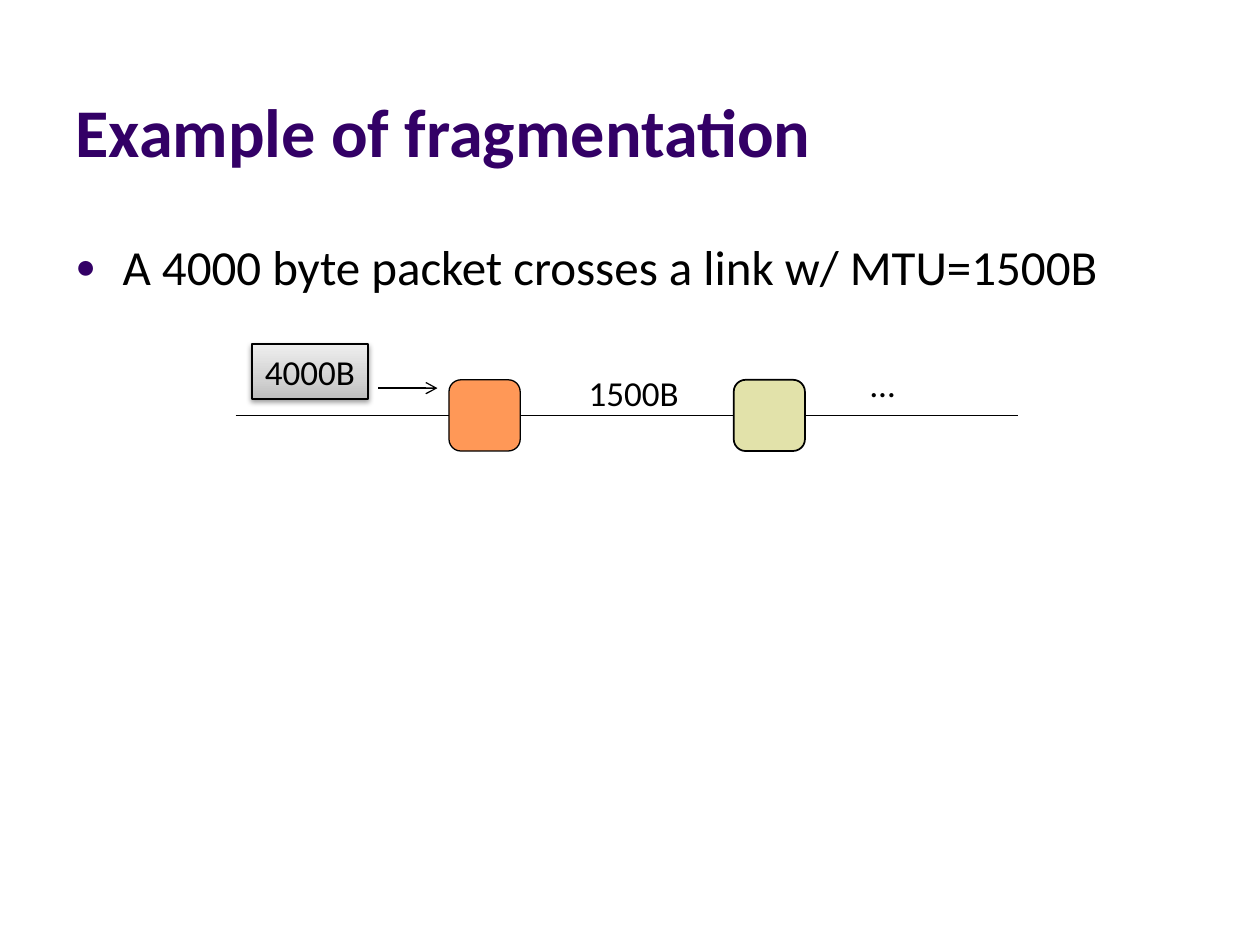
from lxml import etree
from pptx import Presentation
from pptx import util as u
from pptx.dml import color
from pptx.enum import shapes, text
from pptx.oxml import ns

COLORS = {
    "title": "330066", "ink": "000000", "router": "FF9857", "next_router": "E2E2AA",
    "packet_low": "BDBDBD", "packet_mid": "D1D1D1", "packet_high": "EEEEEE",
}


def rgb(name):
    return color.RGBColor.from_string(COLORS[name])


def add_xml(parent, tag, **attributes):
    values = {key: str(value) for key, value in attributes.items()}
    return etree.SubElement(parent, ns.qn(tag), values)


class SlideBuilder:
    font = "Calibri"
    label_size = 20

    def __init__(self, presentation):
        self.slide = presentation.slides.add_slide(presentation.slide_layouts[5])

    def place(self, shape, left, top, width, height):
        shape.left, shape.top = u.Pt(left), u.Pt(top)
        shape.width, shape.height = u.Pt(width), u.Pt(height)

    def set_text(self, shape, words, size, ink="ink", bold=False, align=text.PP_ALIGN.LEFT,
                 anchor=text.MSO_ANCHOR.TOP, wrap=True):
        frame = shape.text_frame
        frame.text = words
        frame.word_wrap = wrap
        frame.vertical_anchor = anchor
        paragraph = frame.paragraphs[0]
        paragraph.alignment = align
        for run in paragraph.runs:
            run.font.name, run.font.size, run.font.bold = self.font, u.Pt(size), bold
            run.font.color.rgb = rgb(ink)
        return paragraph

    def title(self, words, *box):
        shape = self.slide.shapes.title
        self.place(shape, *box)
        self.set_text(shape, words, 39, "title", True, anchor=text.MSO_ANCHOR.BOTTOM)
        shape.text_frame.auto_size = text.MSO_AUTO_SIZE.NONE

    def bullet(self, words, *box):
        shape = self.slide.shapes.add_textbox(*map(u.Pt, box))
        paragraph = self.set_text(shape, words, 28)
        paragraph.line_spacing = 0.9
        paragraph.space_before = u.Pt(5.6)
        properties = paragraph._p.get_or_add_pPr()
        properties.set("marL", str(u.Pt(27)))
        properties.set("indent", str(-u.Pt(27)))
        add_xml(add_xml(properties, "a:buClr"), "a:srgbClr", val=COLORS["title"])
        add_xml(properties, "a:buSzPct", val=70000)
        add_xml(properties, "a:buFont", typeface="Arial")
        add_xml(properties, "a:buChar", char="●")

    def label(self, words, *box, align=text.PP_ALIGN.CENTER):
        shape = self.slide.shapes.add_textbox(*map(u.Pt, box))
        self.set_text(shape, words, self.label_size, align=align, wrap=False)
        shape.text_frame.auto_size = text.MSO_AUTO_SIZE.SHAPE_TO_FIT_TEXT

    def box(self, kind, *box, line_width=0.75):
        shape = self.slide.shapes.add_shape(kind, *map(u.Pt, box))
        shape.shadow.inherit = False
        shape.line.color.rgb = rgb("ink")
        shape.line.width = u.Pt(line_width)
        return shape

    def router(self, fill, *box, line_width):
        shape = self.box(shapes.MSO_SHAPE.ROUNDED_RECTANGLE, *box, line_width=line_width)
        shape.fill.solid()
        shape.fill.fore_color.rgb = rgb(fill)

    def packet(self, words, *box):
        shape = self.box(shapes.MSO_SHAPE.RECTANGLE, *box)
        self.set_text(shape, words, self.label_size, align=text.PP_ALIGN.CENTER, wrap=False)
        shape.text_frame.auto_size = text.MSO_AUTO_SIZE.SHAPE_TO_FIT_TEXT
        # Three-stop gradient, dark at the bottom
        shape.fill.gradient()
        shape.fill.gradient_angle = 90
        properties = shape._element.spPr
        stops = properties.find(".//" + ns.qn("a:gsLst"))
        stops.clear()
        for position, name in ((0, "packet_low"), (35, "packet_mid"), (100, "packet_high")):
            stop = add_xml(stops, "a:gs", pos=position * 1000)
            add_xml(stop, "a:srgbClr", val=COLORS[name])
        # Soft shadow below
        effects = properties.find(ns.qn("a:effectLst"))
        shadow = add_xml(effects, "a:outerShdw", blurRad=u.Pt(3.1), dist=u.Pt(1.6),
                         dir=90 * 60000, rotWithShape=0)
        shade = add_xml(shadow, "a:srgbClr", val=COLORS["ink"])
        add_xml(shade, "a:alpha", val=38000)

    def line(self, start, end, y, arrow=False):
        connector = self.slide.shapes.add_connector(
            shapes.MSO_CONNECTOR.STRAIGHT, u.Pt(start), u.Pt(y), u.Pt(end), u.Pt(y))
        connector.line.color.rgb = rgb("ink")
        connector.line.width = u.Pt(0.75)
        if arrow:
            add_xml(connector.line._get_or_add_ln(), "a:tailEnd", type="arrow")
        add_xml(connector._element.spPr, "a:effectLst")


presentation = Presentation()
presentation.slide_width, presentation.slide_height = u.Pt(720), u.Pt(540)
builder = SlideBuilder(presentation)

# Heading and statement
builder.title("Example of fragmentation", 36, 9.4, 648, 92)
builder.bullet("A 4000 byte packet crosses a link w/ MTU=1500B", 36, 135.4, 648, 86.4)

# Routers joined by three equal links
LINK_LEFT, LINK_Y, LINK, ROUTER = 134.6, 237.4, 122, 40.7
ROUTERS = (("router", 0.75), ("next_router", 1))
for index, (fill, line_width) in enumerate(ROUTERS):
    left = LINK_LEFT + LINK + index * (LINK + ROUTER)
    builder.router(fill, left, LINK_Y - ROUTER / 2, ROUTER, ROUTER, line_width=line_width)
for index in range(len(ROUTERS) + 1):
    start = LINK_LEFT + index * (LINK + ROUTER)
    builder.line(start, start + LINK, LINK_Y)

# Packet and link labels
builder.packet("4000B", 144, 196.6, 66.4, 31.5)
builder.label("1500B", 329, 208.8, 66.4, 31.5)
builder.label("…", 486, 203.8, 32.4, 54, align=text.PP_ALIGN.RIGHT)
builder.line(216, 250, 221.8, arrow=True)

presentation.save("out.pptx")
